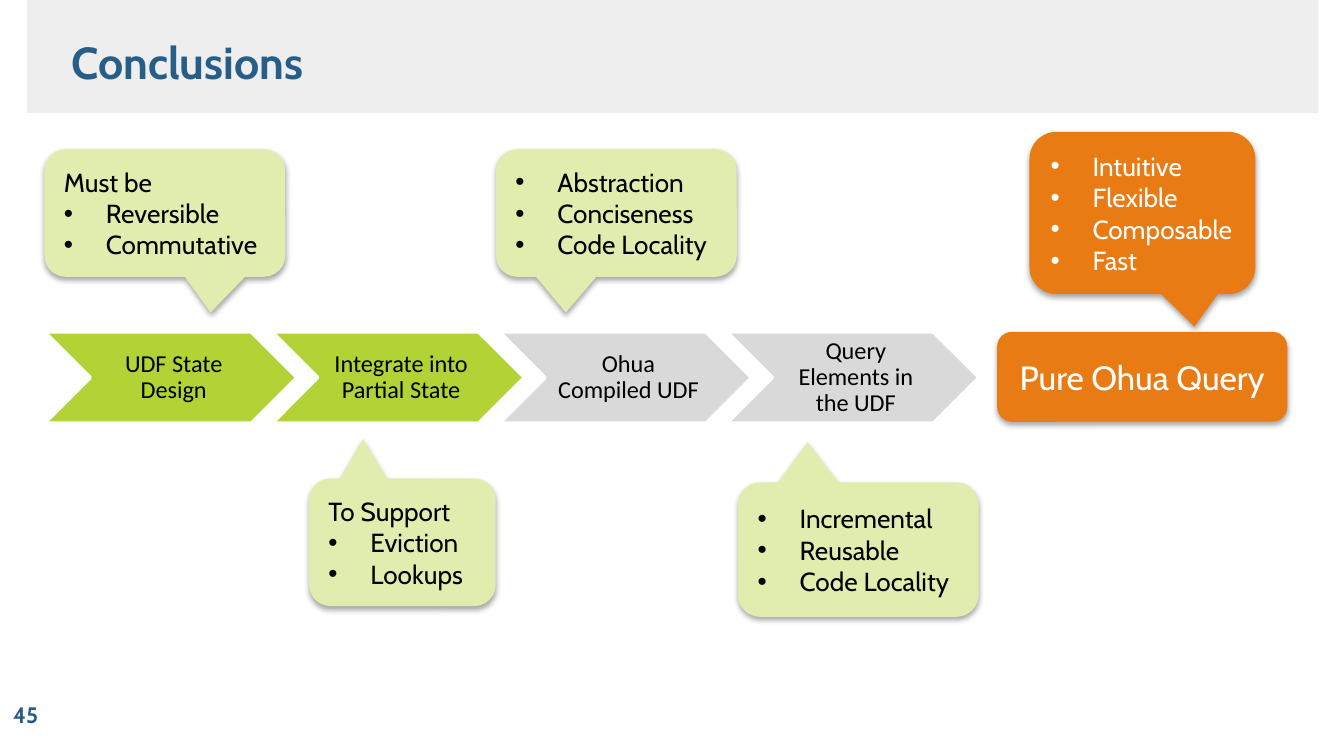
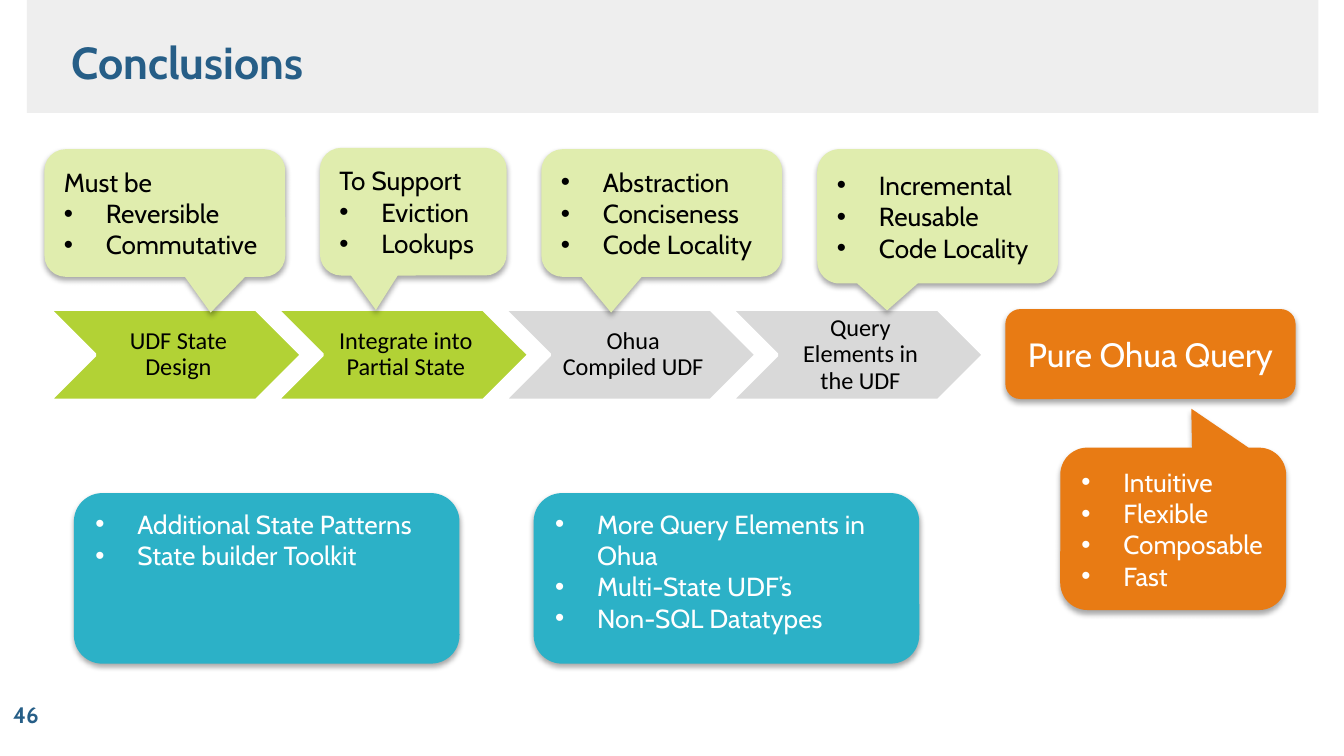
from lxml import etree
from pptx import Presentation
from pptx.dml.color import RGBColor
from pptx.enum import shapes as kinds, text as enums
from pptx.oxml import ns
from pptx.util import Pt

BLUE, BAND, WHITE, BLACK = "265E87", "EEEEEE", "FFFFFF", "000000"
GREEN, GRAY, PALE, ORANGE, TEAL = "B2D235", "D9D9D9", "E0EDAE", "E87B14", "2CB1C7"
SHAPE, ALIGN, ANCHOR = kinds.MSO_SHAPE, enums.PP_ALIGN, enums.MSO_ANCHOR
STEPS = [("UDF State Design", GREEN), ("Integrate into Partial State", GREEN),
         ("Ohua Compiled UDF", GRAY), ("Query Elements in the UDF", GRAY)]

# Bullet lists, each with its optional lead line
STATE = ("Must be", ["Reversible", "Commutative"])
PARTIAL = ("To Support", ["Eviction", "Lookups"])
CODE = (None, ["Abstraction", "Conciseness", "Code Locality"])
QUERY = (None, ["Incremental", "Reusable", "Code Locality"])
GOALS = (None, ["Intuitive", "Flexible", "Composable", "Fast"])
PATTERNS = (None, ["Additional State Patterns", "State builder Toolkit"])
MORE = (None, ["More Query Elements in Ohua", "Multi-State UDF’s", "Non-SQL Datatypes"])


def paint(target, color):
    target.rgb = RGBColor.from_string(color)


def child(parent, tag, **attrs):
    return etree.SubElement(parent, ns.qn(tag), attrs)


def write(shape, items, lead=None, bullet=False, size=14, font="Cabin", color=BLACK,
          bold=False, align=ALIGN.LEFT, anchor=ANCHOR.MIDDLE, space=None, inset=None):
    frame = shape.text_frame
    frame.word_wrap = True
    frame.auto_size = enums.MSO_AUTO_SIZE.NONE
    frame.vertical_anchor = anchor
    if inset:
        (frame.margin_left, frame.margin_top,
         frame.margin_right, frame.margin_bottom) = map(Pt, inset)
    lines = [(lead, False)] if lead else []
    lines += [(item, bullet) for item in items]
    for i, (line, dot) in enumerate(lines):
        para = frame.add_paragraph() if i else frame.paragraphs[0]
        para.alignment = align
        if space:
            para.line_spacing = space
        if dot:
            props = para._p.get_or_add_pPr()
            props.set("marL", str(Pt(22.5)))
            props.set("indent", str(-Pt(22.5)))
            child(props, "a:buFont", typeface="Arial")
            child(props, "a:buChar", char="•")
        run = para.add_run()
        run.text = line
        run.font.size, run.font.name, run.font.bold = Pt(size), font, bold
        paint(run.font.color, color)


def draw(parent, kind, box, fill, edge=None, shade=False):
    shape = parent.shapes.add_shape(kind, *map(Pt, box))
    shape.shadow.inherit = False
    shape.fill.solid()
    paint(shape.fill.fore_color, fill)
    if edge:
        paint(shape.line.color, edge)
        shape.line.width = Pt(2)
    else:
        shape.line.fill.background()
    if shade:
        effects = shape._element.spPr.find(ns.qn("a:effectLst"))
        drop = child(effects, "a:outerShdw", blurRad=str(Pt(3.1)), dist=str(Pt(1.8)),
                     dir="5400000", rotWithShape="0")
        child(child(drop, "a:srgbClr", val=BLACK), "a:alpha", val="35000")
    return shape


# Header band, title and page number
def start(deck, page):
    slide = deck.slides.add_slide(deck.slide_layouts[5])
    band = draw(slide, SHAPE.RECTANGLE, (14.4, 0, 692, 60.5), BAND)
    slide.shapes._spTree.insert(2, band._element)
    title = slide.shapes.title
    title.left, title.top, title.width, title.height = map(Pt, (31, 15, 414, 40))
    write(title, ["Conclusions"], size=24, color=BLUE, bold=True, anchor=ANCHOR.TOP)
    foot = slide.shapes.add_textbox(*map(Pt, (0, 371.5, 39.6, 22.3)))
    write(foot, [str(page)], size=12, color=BLUE, bold=True)
    return slide


# Chain of chevrons
def chain(slide, left, top):
    group = slide.shapes.add_group_shape()
    for i, (label, fill) in enumerate(STEPS):
        x = left + i * 121.8
        draw(group, SHAPE.CHEVRON, (x, top, 135.4, 49), fill, edge=WHITE)
        cell = group.shapes.add_textbox(*map(Pt, (x + 24.6, top, 86.4, 49)))
        write(cell, [label], size=13, font="Calibri", align=ALIGN.CENTER,
              space=0.9, inset=(4.3, 1.4, 1.4, 1.4))


# Speech bubble whose tip is given relative to its centre
def bubble(slide, note, box, tip, fill=PALE, color=BLACK):
    shape = draw(slide, SHAPE.ROUNDED_RECTANGULAR_CALLOUT, box, fill, shade=True)
    for i, value in enumerate(tip):
        shape.adjustments[i] = value
    lead, items = note
    write(shape, items, lead=lead, bullet=True, color=color)


# Target of the chain
def goal(slide, left, top):
    shape = draw(slide, SHAPE.ROUNDED_RECTANGLE, (left, top, 155.5, 48.2), ORANGE, shade=True)
    write(shape, ["Pure Ohua Query"], size=18, color=WHITE, align=ALIGN.CENTER)


# Future work card
def card(slide, note, left, top):
    shape = draw(slide, SHAPE.ROUNDED_RECTANGLE, (left, top, 206.6, 91.4), TEAL, shade=True)
    write(shape, note[1], bullet=True, color=WHITE, anchor=ANCHOR.TOP)


def review(deck):
    slide = start(deck, 45)
    chain(slide, 23.8, 177.8)
    bubble(slide, STATE, (23.8, 79.9, 129, 68.4), (0.19, 0.78))
    bubble(slide, PARTIAL, (165.6, 256.3, 100, 68.4), (-0.21, -0.81))
    bubble(slide, CODE, (265.7, 79.9, 129, 68.4), (-0.21, 0.78))
    bubble(slide, QUERY, (395.3, 258.5, 129, 72), (-0.21, -0.8))
    bubble(slide, GOALS, (551.5, 70.6, 121, 87), (0.23, 0.7), ORANGE, WHITE)
    goal(slide, 534.2, 177.8)


def outlook(deck):
    slide = start(deck, 46)
    chain(slide, 26.3, 165.6)
    bubble(slide, STATE, (23.8, 79.9, 129, 68.4), (0.19, 0.78))
    bubble(slide, PARTIAL, (171.4, 79.2, 100, 68.4), (-0.2, 0.77))
    bubble(slide, CODE, (290, 79.9, 129, 68.4), (-0.21, 0.78))
    bubble(slide, QUERY, (437.8, 79.9, 129, 72), (-0.21, 0.7))
    bubble(slide, GOALS, (568, 239.8, 121, 87), (0.08, -0.74), ORANGE, WHITE)
    goal(slide, 538.6, 165.6)
    for i, note in enumerate((PATTERNS, MORE)):
        card(slide, note, 39.6 + i * 246.3, 264.2)


def main():
    deck = Presentation()
    deck.slide_width, deck.slide_height = Pt(720), Pt(405)
    review(deck)
    outlook(deck)
    deck.save("out.pptx")


if __name__ == "__main__":
    main()
